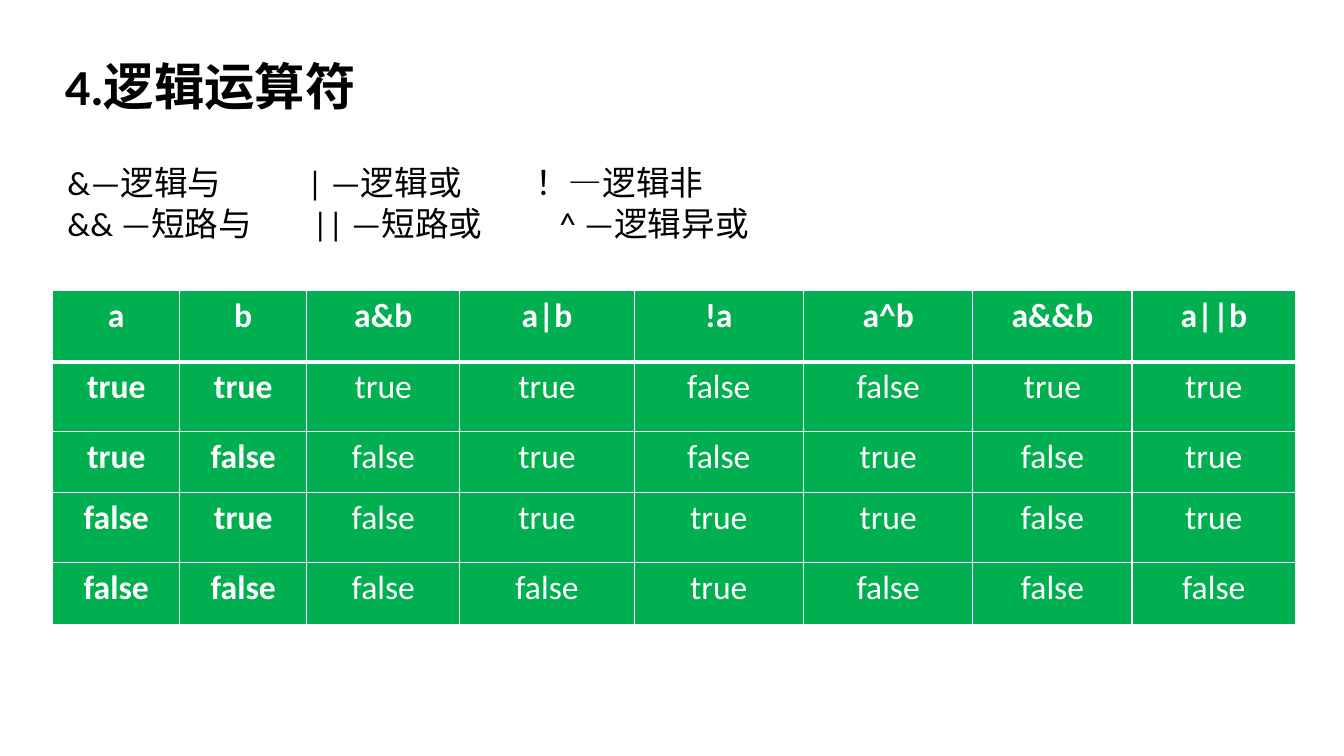
from lxml import etree
from pptx import Presentation
from pptx.dml.color import RGBColor
from pptx.enum.text import PP_ALIGN
from pptx.oxml.ns import qn
from pptx.util import Cm, Pt

LEFT, CENTER = PP_ALIGN.LEFT, PP_ALIGN.CENTER
FONT = "Calibri"
BLACK, WHITE, GREEN = "000000", "FFFFFF", "00B050"

OPERATORS = [
    ("&—逻辑与\t| —逻辑或\t！—逻辑非", (6.05, 11.79)),
    ("&& —短路与\t|| —短路或\t^ —逻辑异或", (6.18, 12.4)),
]
TRUTH_TABLE = [
    ["a", "b", "a&b", "a|b", "!a", "a^b", "a&&b", "a||b"],
    ["true", "true", "true", "true", "false", "false", "true", "true"],
    ["true", "false", "false", "true", "false", "true", "false", "true"],
    ["false", "true", "false", "true", "true", "true", "false", "true"],
    ["false", "false", "false", "false", "true", "false", "false", "false"],
]
COLUMN_WIDTHS = [3.2, 3.2, 3.86, 4.39, 4.27, 4.27, 4.01, 4.12]
ROW_HEIGHTS = [1.8, 1.75, 1.55, 1.75, 1.57]


def color(value):
    return RGBColor.from_string(value)


def write(para, text, *, size=24, ink=BLACK, bold=False, align=LEFT):
    para.alignment = align
    span = para.add_run()
    span.text = text
    span.font.name = FONT
    span.font.size = Pt(size)
    span.font.bold = bold
    span.font.color.rgb = color(ink)


def add_frame(page, box):
    frame = page.shapes.add_textbox(*map(Cm, box)).text_frame
    frame.word_wrap = True
    return frame


def set_tabs(para, stops):
    tab_list = etree.SubElement(para._p.get_or_add_pPr(), qn("a:tabLst"))
    for stop in stops:
        etree.SubElement(tab_list, qn("a:tab"), pos=str(Cm(stop)), algn="l")


def set_border(cell, side, width):
    line = etree.SubElement(cell._tc.get_or_add_tcPr(), qn("a:ln" + side), w=str(Pt(width)))
    fill = etree.SubElement(line, qn("a:solidFill"))
    etree.SubElement(fill, qn("a:srgbClr"), val=WHITE)


def add_title(page, box):
    para = add_frame(page, box).paragraphs[0]
    write(para, "4.逻辑运算符", size=36, bold=True, align=CENTER)


def add_operators(page, box):
    frame = add_frame(page, box)
    for index, (text, stops) in enumerate(OPERATORS):
        para = frame.add_paragraph() if index else frame.paragraphs[0]
        write(para, text)
        set_tabs(para, stops)


def add_truth_table(page, box):
    table = page.shapes.add_table(len(TRUTH_TABLE), len(TRUTH_TABLE[0]), *map(Cm, box)).table
    table.horz_banding = False
    for column, width in zip(table.columns, COLUMN_WIDTHS):
        column.width = Cm(width)
    for row, height in zip(table.rows, ROW_HEIGHTS):
        row.height = Cm(height)

    for row_index, values in enumerate(TRUTH_TABLE):
        # A thick rule separates the header from the values
        widths = {"L": 1, "R": 1, "T": 3 if row_index == 1 else 1, "B": 3 if row_index == 0 else 1}
        for column_index, value in enumerate(values):
            cell = table.cell(row_index, column_index)
            cell.margin_left = cell.margin_right = Cm(0.33)
            cell.margin_top = cell.margin_bottom = Cm(0.13)
            for side, width in widths.items():
                set_border(cell, side, width)
            cell.fill.solid()
            cell.fill.fore_color.rgb = color(GREEN)
            # The header and the two operand columns are bold
            write(cell.text_frame.paragraphs[0], value, ink=WHITE,
                  bold=row_index == 0 or column_index < 2, align=CENTER)


deck = Presentation()
deck.slide_width, deck.slide_height = Cm(33.87), Cm(19.05)
page = deck.slides.add_slide(deck.slide_layouts[6])

add_truth_table(page, (1.33, 7.32, sum(COLUMN_WIDTHS), sum(ROW_HEIGHTS)))
add_operators(page, (1.45, 3.96, 30.4, 2.31))
add_title(page, (-2.03, 1.27, 14.66, 1.93))

deck.save("out.pptx")
